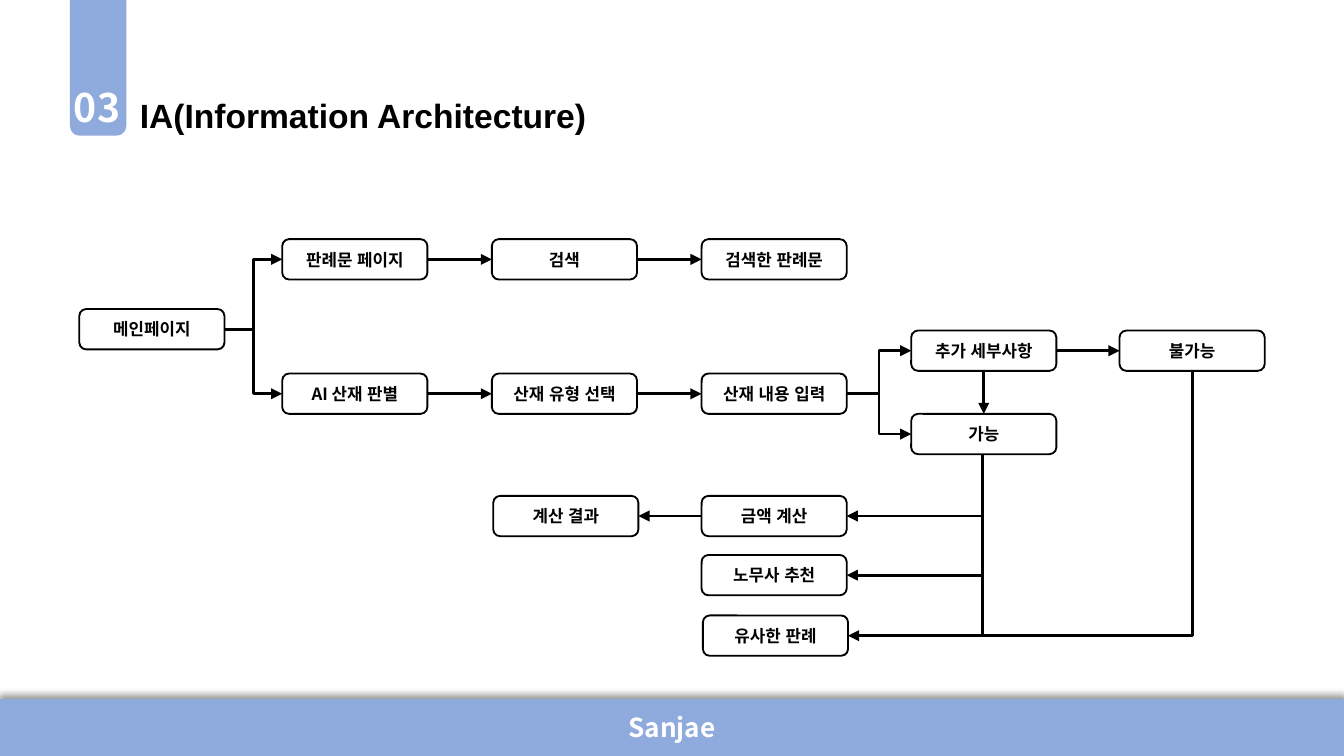
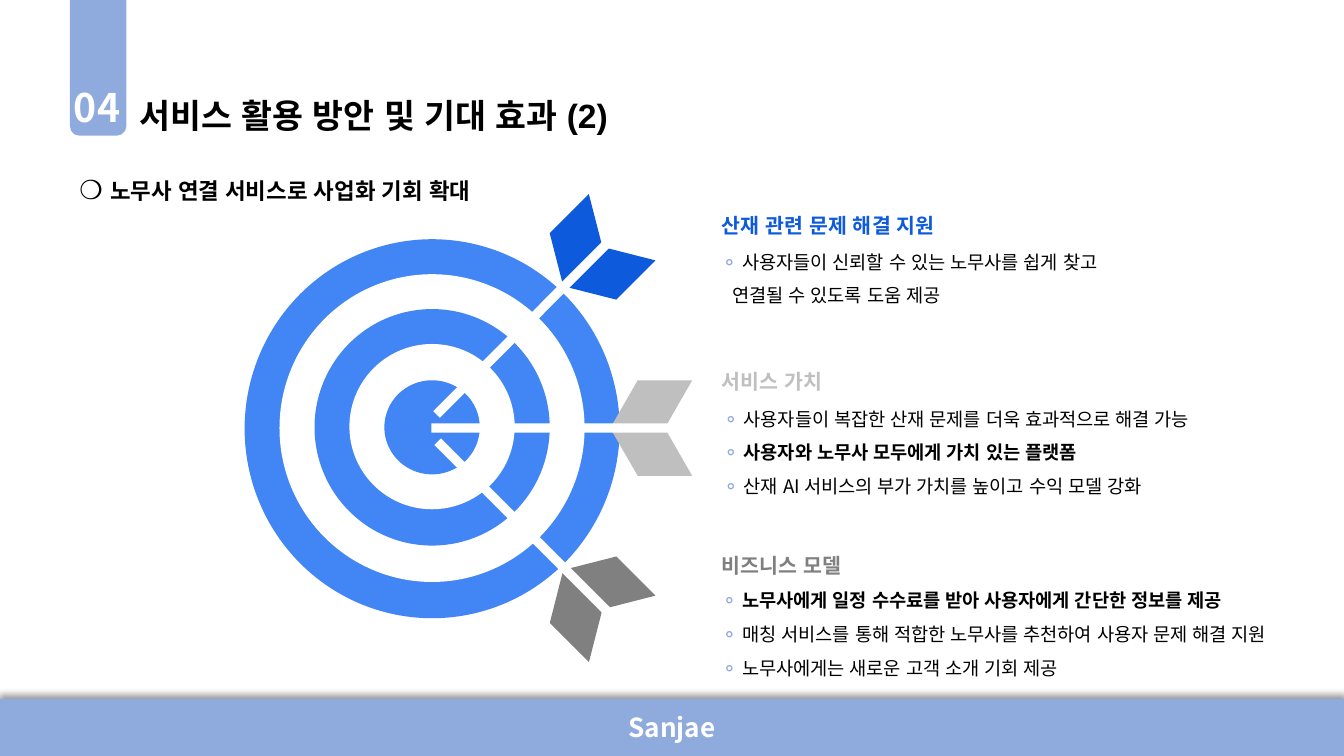
from lxml.etree import SubElement as Sub
from pptx import Presentation
from pptx.dml.color import RGBColor
from pptx.enum.shapes import MSO_CONNECTOR as Link, MSO_SHAPE as Shape
from pptx.enum.text import MSO_ANCHOR as Anchor, MSO_AUTO_SIZE as Auto, PP_ALIGN as Align
from pptx.oxml.ns import qn
from pptx.util import Pt

PX = 9144
KR = "Noto Sans CJK KR"
LATIN = "Arial"
BLACK = RGBColor(0, 0, 0)
WHITE = RGBColor(255, 255, 255)
BAND = RGBColor(0x8F, 0xAA, 0xDC)
RING = RGBColor(0x42, 0x85, 0xF4)
BLUE = RGBColor(0x0D, 0x5B, 0xDC)
SILVER = RGBColor(0xBF, 0xBF, 0xBF)
GRAY = RGBColor(0x80, 0x80, 0x80)
STEEL = RGBColor(0x7F, 0x7F, 0x7F)


def px(*nums):
    return [n * PX for n in nums]


class Deck:
    """Holds the shared style and the current slide."""

    def __init__(self):
        self.file = Presentation()
        self.file.slide_width = 1000 * PX
        self.file.slide_height = self.file.slide_width * 9 // 16

    def font(self, font, size, color, bold=False, face=KR):
        font.size, font.bold, font.name = Pt(size), bold, face
        font.color.rgb = color
        Sub(font._rPr, qn("a:ea")).set("typeface", LATIN)

    def frame(self, shape, anchor=Anchor.TOP):
        frame = shape.text_frame
        frame.margin_left = frame.margin_right = 7 * PX
        frame.margin_top = frame.margin_bottom = 4 * PX
        frame.word_wrap = True
        frame.vertical_anchor = anchor
        return frame

    def shape(self, kind, spot, fill, turn=0, adj=(), home=None):
        item = (home or self.slide.shapes).add_shape(kind, *px(*spot))
        item.shadow.inherit = False
        item.fill.solid()
        item.fill.fore_color.rgb = fill
        item.line.fill.background()
        item.rotation = turn
        for i, value in enumerate(adj):
            item.adjustments[i] = value
        return item

    def label(self, shape, words, size, color):
        part = self.frame(shape, Anchor.MIDDLE).paragraphs[0]
        part.text, part.alignment = words, Align.CENTER
        self.font(part.font, size, color, True)

    def page(self, number, title, height):
        self.slide = self.file.slides.add_slide(self.file.slide_layouts[5])
        band = self.shape(Shape.FLOWCHART_PROCESS, (0, 520, 1000, 42), BAND)
        band.height = self.file.slide_height - band.top
        self.label(band, "Sanjae", 14, WHITE)
        glow = Sub(band._element.spPr.find(qn("a:effectLst")), qn("a:outerShdw"),
                   blurRad="50800", dist="38100", dir="16200000", algn="b", rotWithShape="0")
        tint = Sub(glow, qn("a:srgbClr"), val="000000")
        Sub(tint, qn("a:alpha"), val="40000")
        self.shape(Shape.ROUND_2_SAME_RECTANGLE, (52, 0, 42, 101), BAND, adj=(0, 0.17))
        self.text((48, 58, 59, 43), number, 21, WHITE)
        head = self.slide.shapes.title
        head.left, head.top, head.width, head.height = px(97, 58, 408, height)
        frame = self.frame(head)
        frame.auto_size = Auto.SHAPE_TO_FIT_TEXT
        part = frame.paragraphs[0]
        part.text, part.alignment, part.line_spacing = title, Align.LEFT, 1.3
        self.font(part.font, 18, BLACK, True, LATIN)

    def area(self, spot):
        frame = self.frame(self.slide.shapes.add_textbox(*px(*spot)))
        frame.auto_size = Auto.SHAPE_TO_FIT_TEXT
        return frame

    def text(self, spot, words, size, color, space=None):
        part = self.area(spot).paragraphs[0]
        part.text, part.line_spacing = words, space
        self.font(part.font, size, color, True)

    def lead(self, spot, words):
        part = self.area(spot).paragraphs[0]
        for bit, size, bold, face in (("❍ ", 14, False, LATIN), (words, 12, True, KR)):
            run = part.add_run()
            run.text = bit
            self.font(run.font, size, BLACK, bold, face)

    def points(self, spot, rows, strong):
        frame = self.area(spot)
        for i, row in enumerate(rows):
            part = frame.add_paragraph() if i else frame.paragraphs[0]
            part.line_spacing = 1.5
            props = part._p.get_or_add_pPr()
            props.set("marL", str(8 * PX))
            props.set("indent", str(-8 * PX))
            self.font(part.font, 10, BLACK, i == strong)
            mark = part.add_run()
            mark.text = "⚬ "
            mark.font.color.rgb = BAND
            mark.font.bold = False
            for j, line in enumerate(row.split("\n")):
                if j:
                    part.add_line_break()
                part.add_run().text = line

    def node(self, words, x, y):
        box = self.shape(Shape.ROUNDED_RECTANGLE, (x, y, 108, 30), WHITE, adj=(0.17,))
        box.line.color.rgb, box.line.width = BLACK, Pt(1)
        self.label(box, words, 9, BLACK)
        return box

    def line(self, kind, ends, arrow=True):
        wire = self.slide.shapes.add_connector(kind, *ends)
        wire.line.color.rgb, wire.line.width = BLACK, Pt(1.5)
        if arrow:
            Sub(wire.line._get_or_add_ln(), qn("a:tailEnd"), type="triangle")
        Sub(wire._element.spPr, qn("a:effectLst"))
        return wire

    def join(self, start, end, sides=(3, 1), kind=Link.STRAIGHT):
        wire = self.line(kind, (0, 0, 0, 0))
        wire.begin_connect(start, sides[0])
        wire.end_connect(end, sides[1])

    def drop(self, x, y, left, low, arrow=True):
        wide, tall = x - left, low - y
        wire = self.line(Link.ELBOW, px(left, y, x, low), arrow)
        wire.left = (left + x - tall) * PX // 2
        wire.top = (y + low - wide) * PX // 2
        wire.width, wire.height = px(tall, wide)
        props = wire._element.spPr
        props.find(qn("a:xfrm")).set("rot", "5400000")
        props.find(qn("a:prstGeom")).set("prst", "bentConnector2")


def sitemap(deck):
    deck.page("03", "IA(Information Architecture)", 38)
    main = deck.node("메인페이지", 59, 230)
    flows = []
    for y, names in ((178, ("판례문 페이지", "검색", "검색한 판례문")),
                     (278, ("AI 산재 판별", "산재 유형 선택", "산재 내용 입력"))):
        flows.append([deck.node(name, 210 + 156 * i, y) for i, name in enumerate(names)])
    never = deck.node("불가능", 833, 246)
    able = deck.node("가능", 678, 308)
    extra = deck.node("추가 세부사항", 678, 246)
    cost = deck.node("금액 계산", 522, 369)
    total = deck.node("계산 결과", 367, 369)
    deck.node("노무사 추천", 522, 413)
    deck.node("유사한 판례", 523, 458)
    for flow in flows:
        deck.join(main, flow[0], kind=Link.ELBOW)
        for start, end in zip(flow, flow[1:]):
            deck.join(start, end)
    for end in (extra, able):
        deck.join(flows[1][-1], end, kind=Link.ELBOW)
    deck.join(extra, never)
    deck.join(extra, able, (2, 0))
    deck.join(cost, total, (1, 3))
    for left, low in ((630, 384), (630, 428), (631, 473)):
        deck.drop(731, 338, left, low)
    deck.drop(887, 276, 731, 473, False)


def target(deck):
    deck.page("04", "서비스 활용 방안 및 기대 효과 (2)", 47)
    deck.lead((52, 125, 344, 31), "노무사 연결 서비스로 사업화 기회 확대")
    home = deck.slide.shapes.add_group_shape().shapes
    for i in range(5):
        spot = 182 + 26 * i, 178 + 105 * i // 4, 279 - 52 * i, 282 - 53 * i
        deck.shape(Shape.OVAL, spot, WHITE if i % 2 else RING, home=home)
    darts = (
        ((454, 283, 61, 71), 180, SILVER, (321, 315, 186, 7), 0),
        ((410, 156, 62, 70), 134.9, BLUE, (297, 238, 189, 7), 314.9),
        ((410, 411, 62, 70), 225, GRAY, (298, 392, 189, 7), 45),
    )
    for tail, turn, color, shaft, tilt in darts:
        deck.shape(Shape.CHEVRON, tail, color, turn, (0.335,), home)
        deck.shape(Shape.RECTANGLE, shaft, WHITE, tilt, home=home)
    topics = (
        ("산재 관련 문제 해결 지원", BLUE, 145, (530, 174, 386, 58), None,
         ("사용자들이 신뢰할 수 있는 노무사를 쉽게 찾고\n연결될 수 있도록 도움 제공",)),
        ("서비스 가치", SILVER, 261, (531, 291, 448, 83), 1,
         ("사용자들이 복잡한 산재 문제를 더욱 효과적으로 해결 가능",
          "사용자와 노무사 모두에게 가치 있는 플랫폼",
          "산재 AI 서비스의 부가 가치를 높이고 수익 모델 강화")),
        ("비즈니스 모델", STEEL, 398, (530, 426, 470, 83), 0,
         ("노무사에게 일정 수수료를 받아 사용자에게 간단한 정보를 제공",
          "매칭 서비스를 통해 적합한 노무사를 추천하여 사용자 문제 해결 지원",
          "노무사에게는 새로운 고객 소개 기회 제공")),
    )
    for name, color, y, spot, strong, rows in topics:
        deck.points(spot, rows, strong)
        deck.text((530, y, 262, 35), name, 11, color, 1.5)


def main():
    deck = Deck()
    sitemap(deck)
    target(deck)
    deck.file.save("out.pptx")


if __name__ == "__main__":
    main()
